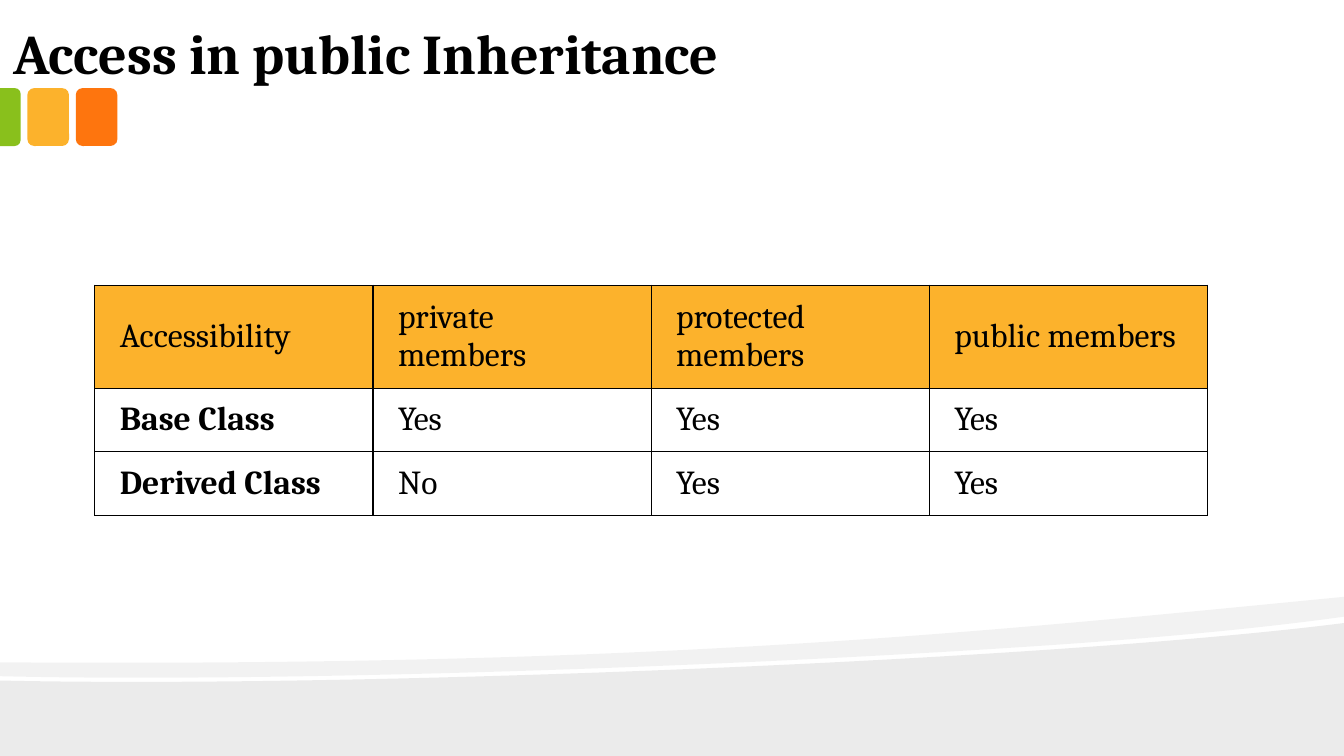
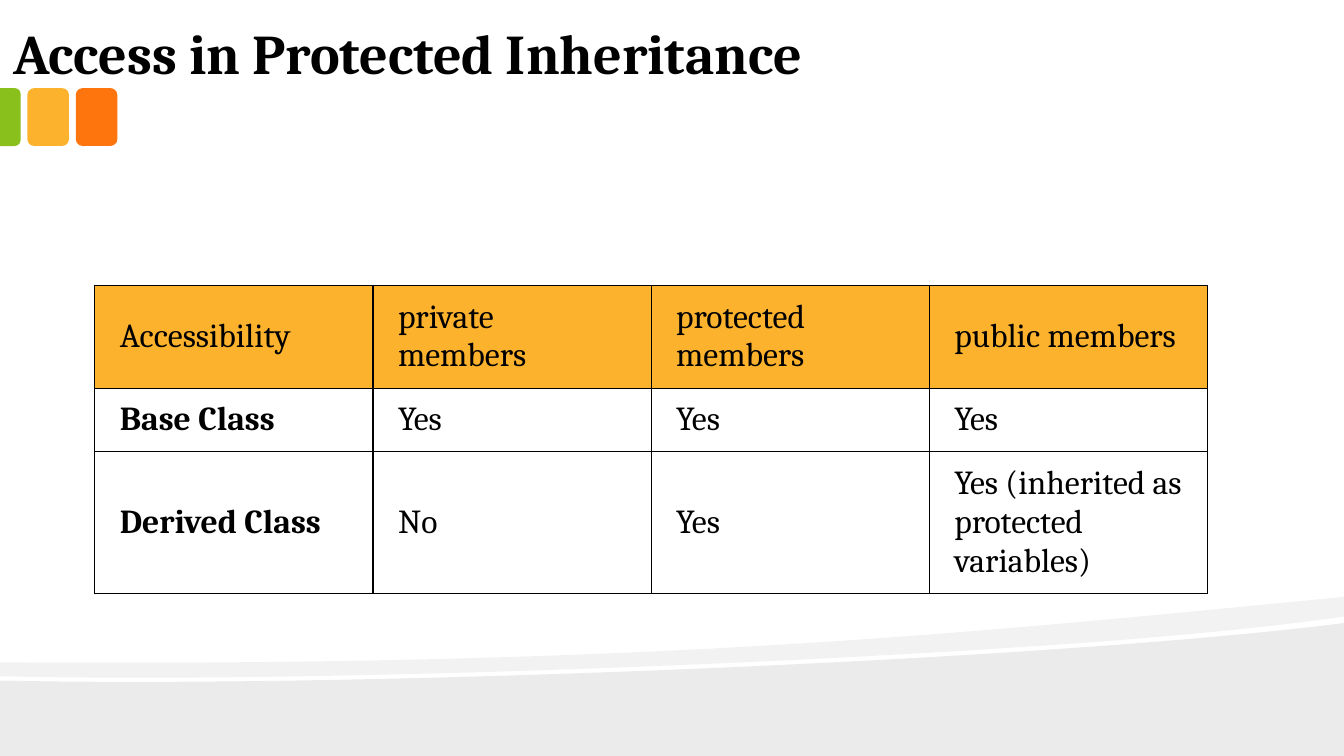
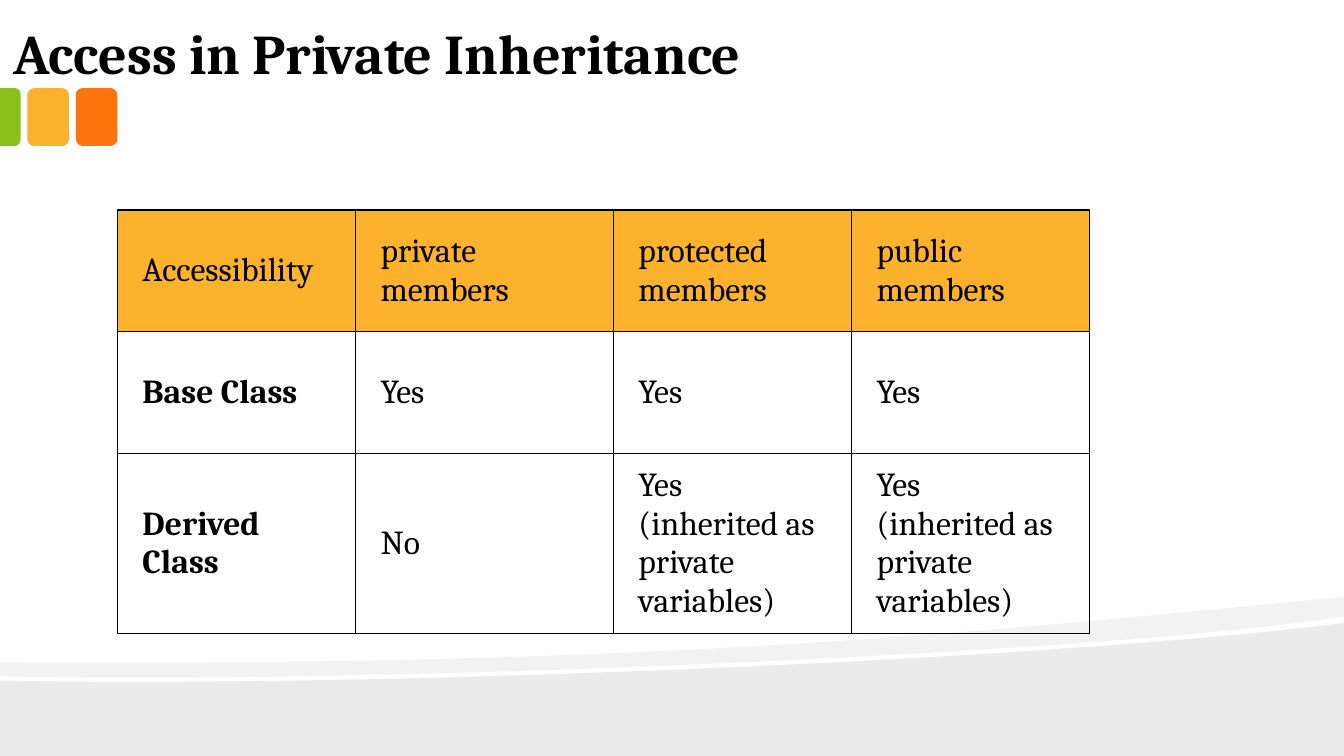
import pptx
import pptx.util
import pptx.dml.color
import pptx.enum.shapes
import pptx.enum.text
import pptx.oxml
import pptx.oxml.ns
import lxml.etree

Cm = pptx.util.Cm
Pt = pptx.util.Pt
SHAPE = pptx.enum.shapes.MSO_SHAPE
ALIGN = pptx.enum.text.PP_ALIGN
ANCHOR = pptx.enum.text.MSO_ANCHOR
qn = pptx.oxml.ns.qn

WIDTH, HEIGHT = 33.87, 19.05
FONT = "Cambria"
COLOURS = {
    "text": "000000",
    "border": "000000",
    "band": "000000",
    "header": "FCB22C",
    "green": "89C01C",
    "amber": "FCB22C",
    "orange": "FE750E",
}

BANDS = [
    {"opacity": 8, "segments": [
        [(WIDTH, 15.7)], [(WIDTH, HEIGHT)], [(0, HEIGHT)], [(0, 17.15)],
        [(8.94, 17.35), (26.47, 16.64), (WIDTH, 15.7)],
    ]},
    {"opacity": 5, "segments": [
        [(WIDTH, 15.04)], [(WIDTH, 15.54)],
        [(31.88, 15.82), (29.18, 16.08), (26.14, 16.28)],
        [(17.73, 16.84), (6.55, 17.2), (0, 17.04)],
        [(0, 16.69)],
        [(16.56, 16.81), (24.66, 15.93), (WIDTH, 15.04)],
    ]},
]

TILE = {"left": 0.69, "top": 2.22, "width": 1.05, "height": 1.46, "pitch": 1.22}
TILES = ["amber", "orange"]
TAB_WIDTH = 0.52

HEADER = ["Accessibility", "private members", "protected members", "public members"]
BASE = ["Base Class", "Yes", "Yes", "Yes"]
WIDE = {"left": 2.39, "top": 7.19, "columns": [7.01] * 4}
NARROW = {"left": 2.96, "top": 5.29, "columns": [6, 6.5, 6, 6]}

SLIDES = [
    {"title": "Access in public Inheritance", "place": WIDE, "heights": [2.59, 1.6, 1.6],
     "derived": ["Derived Class", "No", "Yes", "Yes"]},
    {"title": "Access in Protected Inheritance", "place": WIDE, "heights": [2.59, 1.6, 3.57],
     "derived": ["Derived Class", "No", "Yes", "Yes (inherited as protected variables)"]},
    {"title": "Access in Private Inheritance", "place": NARROW, "heights": [3.07, 3.07, 4.53],
     "derived": ["Derived Class", "No"] + ["Yes (inherited as private variables)"] * 2},
]


def colour(name):
    return pptx.dml.color.RGBColor.from_string(COLOURS[name])


def write(frame, text, size, bold=False, align=ALIGN.LEFT):
    para = frame.paragraphs[0]
    para.alignment = align
    span = para.add_run()
    span.text = text
    span.font.name = FONT
    span.font.size = Pt(size)
    span.font.bold = bold
    span.font.color.rgb = colour("text")


def set_margins(target, side, end):
    target.margin_left = target.margin_right = Cm(side)
    target.margin_top = target.margin_bottom = Cm(end)


def paint(shape, fill, opacity=100):
    shape.shadow.inherit = False
    shape.fill.solid()
    shape.fill.fore_color.rgb = colour(fill)
    shape.line.fill.background()
    if opacity < 100:
        tint = next(shape.element.iter(qn("a:srgbClr")))
        lxml.etree.SubElement(tint, qn("a:alpha")).set("val", str(opacity * 1000))
    return shape


def bend(shape, line, segment):
    curve = lxml.etree.Element(qn("a:cubicBezTo"))
    for x, y in segment:
        point = lxml.etree.SubElement(curve, qn("a:pt"))
        point.set("x", str(Cm(x) - shape.left))
        point.set("y", str(Cm(y) - shape.top))
    line.getparent().replace(line, curve)


def draw_band(page, segments, opacity):
    corners = [(Cm(segment[-1][0]), Cm(segment[-1][1])) for segment in segments]
    builder = page.shapes.build_freeform(*corners[0])
    builder.add_line_segments(corners[1:], close=False)
    shape = builder.convert_to_shape()
    lines = list(shape.element.iter(qn("a:lnTo")))
    for line, segment in zip(lines, segments[1:]):
        if len(segment) == 3:
            bend(shape, line, segment)
    return paint(shape, "band", opacity)


def draw_tiles(page):
    width, height = TILE["width"], TILE["height"]
    tiles = [
        paint(page.shapes.add_shape(
            SHAPE.ROUNDED_RECTANGLE, Cm(TILE["left"] + index * TILE["pitch"]),
            Cm(TILE["top"]), Cm(width), Cm(height)), fill)
        for index, fill in enumerate(TILES)
    ]
    tab = page.shapes.add_shape(
        SHAPE.ROUND_2_SAME_RECTANGLE, Cm((TAB_WIDTH - height) / 2),
        Cm(TILE["top"] + (height - TAB_WIDTH) / 2), Cm(height), Cm(TAB_WIDTH))
    tab.rotation = 90
    tab.adjustments[0] = 0.29
    return tiles + [paint(tab, "green")]


def decorate_layout(layout, page):
    for holder in list(layout.placeholders):
        if holder.placeholder_format.idx != 0:
            holder.element.getparent().remove(holder.element)
    bands = [draw_band(page, **band) for band in BANDS]
    for shape in bands + draw_tiles(page):
        layout.shapes.element.append(shape.element)


def add_title(page, text):
    title = page.shapes.title
    title.left, title.top, title.width, title.height = Cm(0), Cm(0.08), Cm(32.79), Cm(2.26)
    frame = title.text_frame
    frame.word_wrap = True
    frame.auto_size = pptx.enum.text.MSO_AUTO_SIZE.NONE
    frame.vertical_anchor = ANCHOR.BOTTOM
    set_margins(frame, 0.33, 0.18)
    write(frame, text, size=40, bold=True, align=ALIGN.JUSTIFY)


def add_borders(cell):
    properties = cell._tc.get_or_add_tcPr()
    for side in ("lnL", "lnR", "lnT", "lnB"):
        properties.append(pptx.oxml.parse_xml(
            f'<a:{side} {pptx.oxml.ns.nsdecls("a")} w="12700"><a:solidFill>'
            f'<a:srgbClr val="{COLOURS["border"]}"/></a:solidFill></a:{side}>'))


def add_access_table(page, rows, place, heights):
    columns = place["columns"]
    table = page.shapes.add_table(
        len(rows), len(columns), Cm(place["left"]), Cm(place["top"]),
        Cm(sum(columns)), Cm(sum(heights))).table
    table.first_row = table.horz_banding = False
    for column, width in zip(table.columns, columns):
        column.width = Cm(width)
    for row, height in zip(table.rows, heights):
        row.height = Cm(height)
    for row_index, texts in enumerate(rows):
        for column_index, text in enumerate(texts):
            cell = table.cell(row_index, column_index)
            add_borders(cell)
            if row_index == 0:
                cell.fill.solid()
                cell.fill.fore_color.rgb = colour("header")
            else:
                cell.fill.background()
            set_margins(cell, 0.63, 0.31)
            cell.vertical_anchor = ANCHOR.MIDDLE
            write(cell.text_frame, text, size=24, bold=row_index > 0 and column_index == 0)


def main():
    deck = pptx.Presentation()
    deck.slide_width, deck.slide_height = Cm(WIDTH), Cm(HEIGHT)
    layout = deck.slide_layouts[5]
    for index, content in enumerate(SLIDES):
        page = deck.slides.add_slide(layout)
        if index == 0:
            decorate_layout(layout, page)
        add_title(page, content["title"])
        add_access_table(page, [HEADER, BASE, content["derived"]],
                         content["place"], content["heights"])
    deck.save("out.pptx")


if __name__ == "__main__":
    main()
